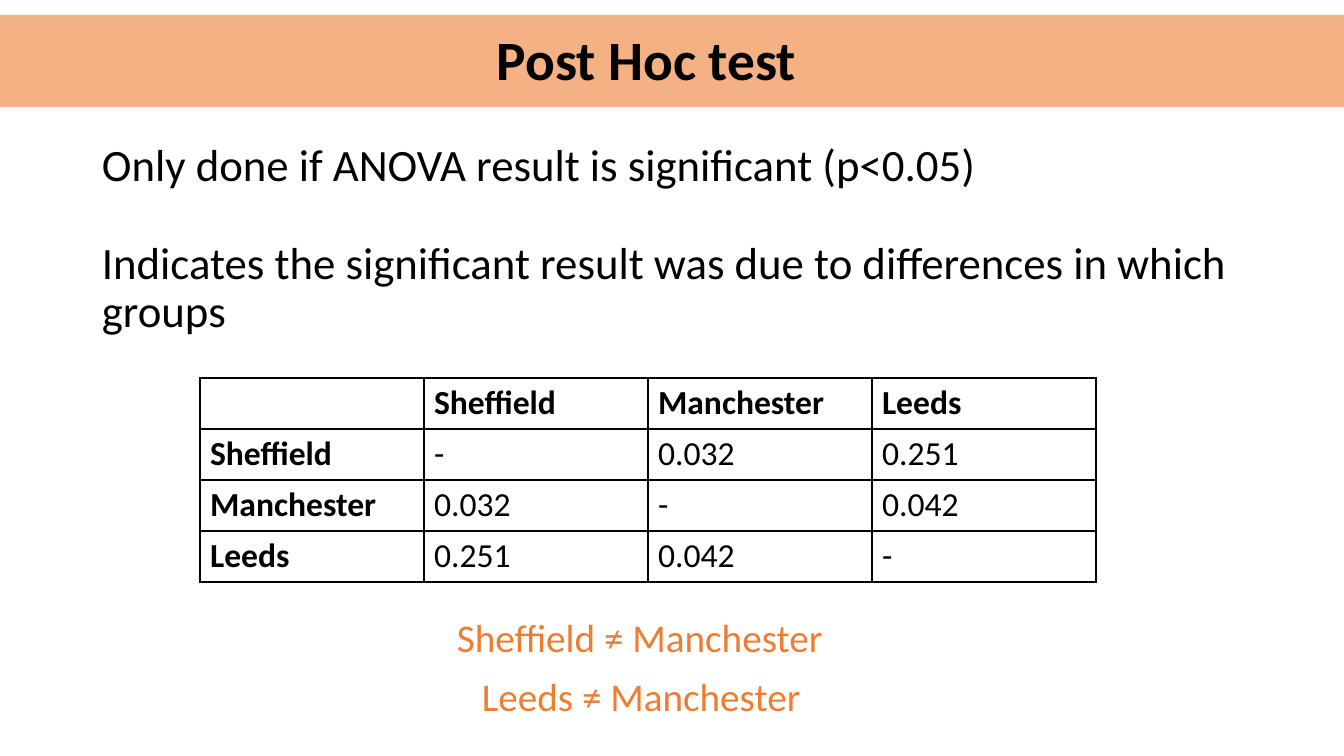
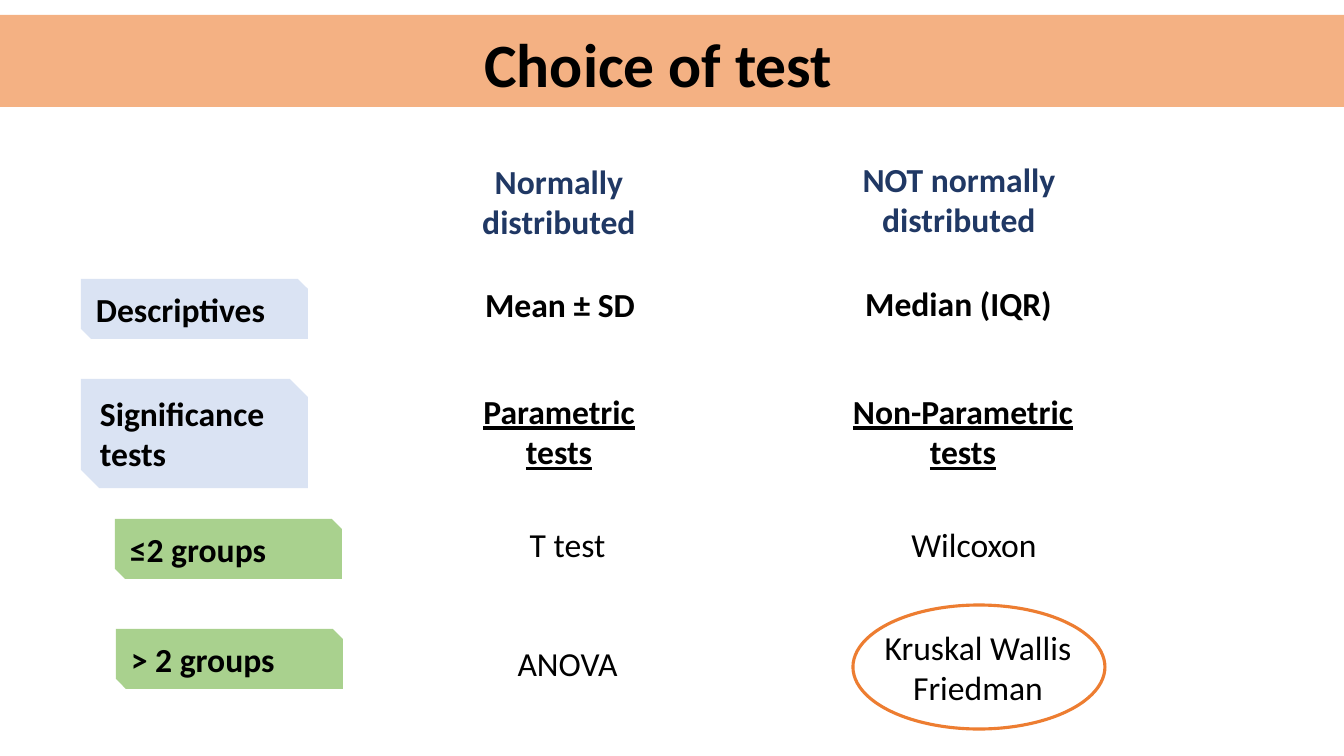
from lxml import etree
from pptx import Presentation
from pptx import util as u
from pptx.dml import color
from pptx.enum import shapes, text
from pptx.oxml import ns

PIXEL = u.Inches(1) / 100.8
BLACK, WHITE, NAVY, ORANGE = "000000", "FFFFFF", "203864", "ED7D31"
PEACH, PALE_BLUE, GREEN = "F4B183", "DAE3F3", "A9D18E"
LEFT, CENTER = text.PP_ALIGN.LEFT, text.PP_ALIGN.CENTER
TOP, MIDDLE = text.MSO_ANCHOR.TOP, text.MSO_ANCHOR.MIDDLE
PLAIN = {"name": "Calibri", "size": u.Pt(24), "bold": False}
BOLD = {**PLAIN, "bold": True}
UNDERLINED = {**BOLD, "underline": True}
LARGE = {**PLAIN, "size": u.Pt(32)}
FINDING = {**PLAIN, "size": u.Pt(28)}


def px(*lengths):
    """Turn pixels into EMU."""
    return [u.Emu(round(length * PIXEL)) for length in lengths]


def rgb(code):
    """Turn a hex string into a colour."""
    return color.RGBColor.from_string(code)


def write(frame, content, style, ink=BLACK, **layout):
    """Fill a text frame with one paragraph per line of content."""
    for index, line in enumerate(content.split("\n")):
        paragraph = frame.paragraphs[0] if index == 0 else frame.add_paragraph()
        for name, value in layout.items():
            setattr(paragraph, name, value)
        run = paragraph.add_run()
        run.text = line
        for name, value in style.items():
            setattr(run.font, name, value)
        run.font.color.rgb = rgb(ink)


def add_text(slide, box, content, style, ink=BLACK, anchor=TOP, **layout):
    """Place a wrapped text box and return its frame."""
    frame = slide.shapes.add_textbox(*px(*box)).text_frame
    frame.word_wrap = True
    frame.vertical_anchor = anchor
    write(frame, content, style, ink, **layout)
    return frame


def add_figure(slide, kind, box, fill=None, line=None):
    """Place a preset shape with an optional fill and outline."""
    figure = slide.shapes.add_shape(kind, *px(*box))
    figure.shadow.inherit = False
    if fill:
        figure.fill.solid()
        figure.fill.fore_color.rgb = rgb(fill)
    else:
        figure.fill.background()
    if line:
        figure.line.color.rgb = rgb(line)
        figure.line.width = u.Pt(2.25)
    else:
        figure.line.fill.background()
    return figure


def add_label(slide, box, content, fill=None, ink=BLACK, align=LEFT):
    """Place a bold label on a rectangle with two snipped corners."""
    label = add_figure(slide, shapes.MSO_SHAPE.SNIP_2_DIAG_RECTANGLE, box, fill)
    label.text_frame.vertical_anchor = TOP
    write(label.text_frame, content, BOLD, ink, alignment=align)


def add_titled_slide(deck, title, box, size):
    """Add a blank slide with the title on the peach band."""
    slide = deck.slides.add_slide(deck.slide_layouts[6])
    add_figure(slide, shapes.MSO_SHAPE.RECTANGLE, (-26, 15, 1402, 92), PEACH)
    add_text(slide, box, title, {**BOLD, "size": u.Pt(size)}, anchor=MIDDLE,
             alignment=CENTER, line_spacing=0.9)
    return slide


def outline_cell(cell):
    """Draw a thin black border on all sides of a cell."""
    properties = cell._tc.get_or_add_tcPr()
    for side in ("lnL", "lnR", "lnT", "lnB"):
        border = etree.SubElement(properties, ns.qn(f"a:{side}"), w=str(u.Pt(1)))
        solid = etree.SubElement(border, ns.qn("a:solidFill"))
        etree.SubElement(solid, ns.qn("a:srgbClr"), val=BLACK)


def add_p_values(slide, box, cities, p_values):
    """Place the table of pairwise p values between cities."""
    rows = [["", *cities]] + [[city, *values] for city, values in zip(cities, p_values)]
    grid = slide.shapes.add_table(len(rows), len(rows[0]), *px(*box)).table
    grid.first_row = grid.horz_banding = False
    for row, values in enumerate(rows):
        for column, value in enumerate(values):
            cell = grid.cell(row, column)
            outline_cell(cell)
            cell.fill.solid()
            cell.fill.fore_color.rgb = rgb(WHITE)
            if value:
                heading = row == 0 or column == 0
                write(cell.text_frame, value, BOLD if heading else PLAIN)


def add_row_labels(slide, left, top):
    """Place the labels of the descriptive and test rows."""
    for content, x, y, height, fill in (
            ("Descriptives", 0, 0, 60, PALE_BLUE),
            ("Significance tests", 0, 100, 109, PALE_BLUE),
            ("≤2 groups", 34, 240, 60, GREEN),
            ("> 2 groups", 35, 350, 60, GREEN)):
        add_label(slide, (left + x, top + y, 227, height), content, fill)


def add_test_column(slide, heading, heading_box, entries):
    """Place the heading of a distribution and the entries below it."""
    add_label(slide, heading_box, heading, ink=NAVY, align=CENTER)
    for content, box, style in entries:
        add_text(slide, box, content, style, alignment=CENTER)


def build_post_hoc(deck):
    """Build the slide on the post hoc test."""
    slide = add_titled_slide(deck, "Post Hoc test", (67, 30, 1159, 66), 39.6)
    body = add_text(slide, (92, 138, 1159, 220),
                    "Only done if ANOVA result is significant (p<0.05)\n"
                    "Indicates the significant result was due to differences in which groups",
                    LARGE, line_spacing=0.9)
    body.paragraphs[1].space_before = u.Pt(35)
    add_p_values(slide, (200, 378, 896, 204), ("Sheffield", "Manchester", "Leeds"),
                 (("-", "0.032", "0.251"), ("0.032", "-", "0.042"), ("0.251", "0.042", "-")))
    for city, box in (("Sheffield", (447, 608, 400, 57)), ("Leeds", (472, 667, 352, 57))):
        add_text(slide, box, f"{city} ≠ Manchester", FINDING, ORANGE)


def build_choice(deck):
    """Build the slide on the choice of test."""
    slide = add_titled_slide(deck, "Choice of test", (230, 24, 857, 87), 44)
    add_row_labels(slide, 81, 279)
    add_test_column(slide, "Normally distributed", (433, 147, 252, 109), (
        ("Mean ± SD", (468, 279, 184, 50), BOLD),
        ("Parametric tests", (467, 386, 184, 92), UNDERLINED),
        ("T test", (492, 519, 151, 50), PLAIN),
        ("ANOVA", (492, 638, 151, 50), PLAIN)))
    add_test_column(slide, "NOT normally distributed", (829, 145, 260, 109), (
        ("Median (IQR)", (798, 278, 321, 50), BOLD),
        ("Non-Parametric tests", (821, 386, 284, 92), UNDERLINED),
        ("Wilcoxon", (741, 519, 466, 50), PLAIN),
        ("Kruskal Wallis\nFriedman", (805, 622, 346, 92), PLAIN)))
    add_figure(slide, shapes.MSO_SHAPE.OVAL, (853, 605, 252, 124), line=ORANGE)


deck = Presentation()
deck.slide_width, deck.slide_height = px(1344, 756)
build_post_hoc(deck)
build_choice(deck)
deck.save("out.pptx")
